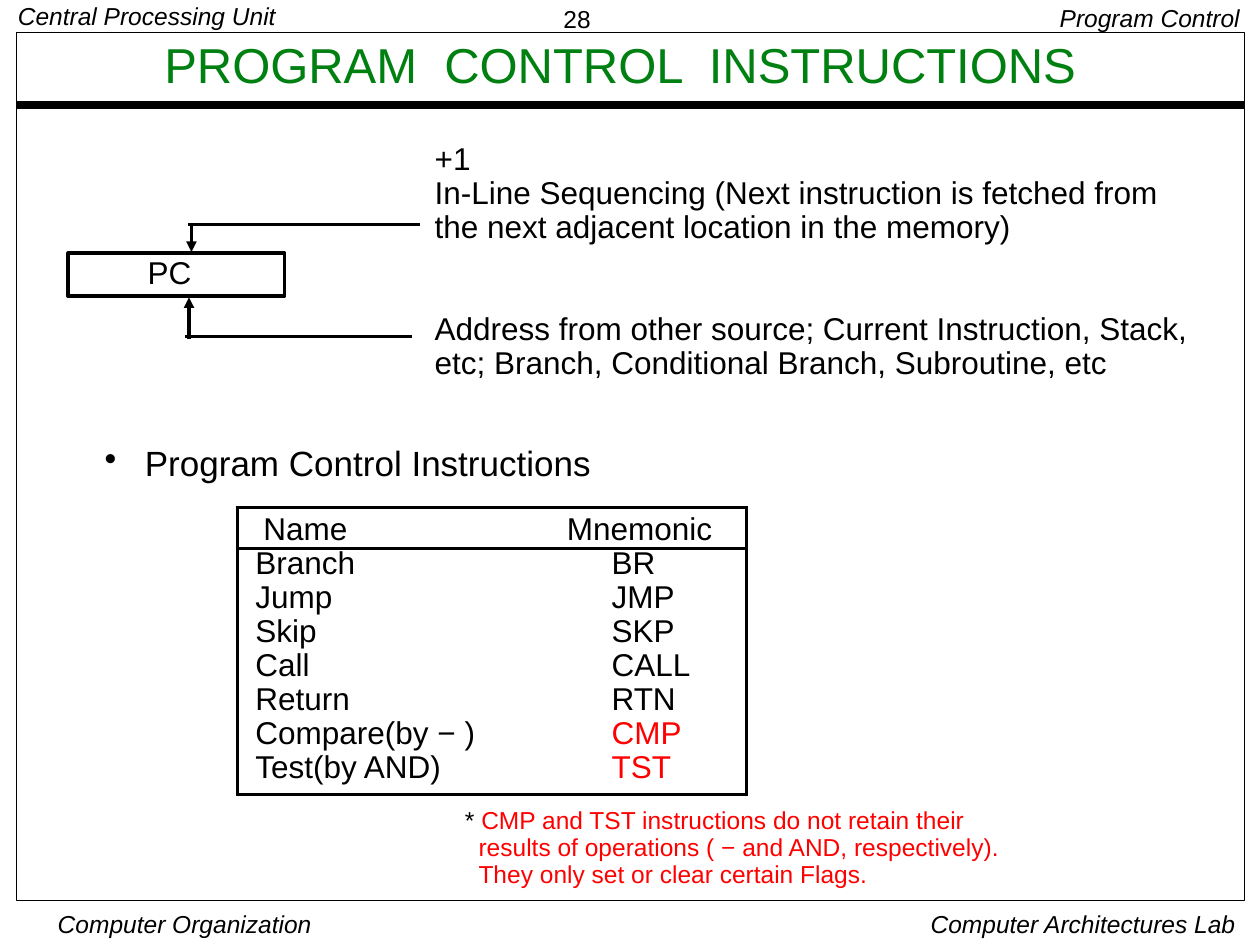
from lxml import etree
from pptx import Presentation
from pptx.dml.color import RGBColor
from pptx.enum.shapes import MSO_CONNECTOR, MSO_SHAPE
from pptx.enum.text import MSO_ANCHOR, PP_ALIGN
from pptx.oxml.ns import qn
from pptx.util import Pt

LEFT, CENTER, RIGHT = PP_ALIGN.LEFT, PP_ALIGN.CENTER, PP_ALIGN.RIGHT
TOP, MIDDLE = MSO_ANCHOR.TOP, MSO_ANCHOR.MIDDLE
STRAIGHT, RECTANGLE = MSO_CONNECTOR.STRAIGHT, MSO_SHAPE.RECTANGLE
BLACK, RED, GREEN = "000000", "FF0000", "008011"
color = RGBColor.from_string

prs = Presentation()
prs.slide_width, prs.slide_height = Pt(720), Pt(540)
slide = prs.slides.add_slide(prs.slide_layouts[6])
shapes = slide.shapes


def write(frame, lines, size=18, hue=BLACK, italic=False, align=LEFT,
          anchor=TOP, spacing=0.9, insets=(0, 0, 0, 0), bullet=None):
    frame.word_wrap = True
    frame.vertical_anchor = anchor
    (frame.margin_left, frame.margin_top,
     frame.margin_right, frame.margin_bottom) = map(Pt, insets)
    for i, line in enumerate(lines):
        paragraph = frame.add_paragraph() if i else frame.paragraphs[0]
        paragraph.alignment = align
        paragraph.line_spacing = spacing
        if bullet:
            props = paragraph._p.get_or_add_pPr()
            props.set("marL", str(Pt(23)))
            props.set("indent", str(-Pt(23)))
            etree.SubElement(props, qn("a:buChar")).set("char", bullet)
        for text, run_hue in [(line, hue)] if isinstance(line, str) else line:
            run = paragraph.add_run()
            run.text = text
            run.font.name = "Arial"
            run.font.size = Pt(size)
            run.font.italic = italic
            run.font.color.rgb = color(run_hue)


def draw_line(x1, y1, x2, y2, width=2, arrow=False):
    line = shapes.add_connector(STRAIGHT, Pt(x1), Pt(y1), Pt(x2), Pt(y2))
    line.line.color.rgb = color(BLACK)
    line.line.width = Pt(width)
    if arrow:
        etree.SubElement(line.line._get_or_add_ln(), qn("a:tailEnd")).set("type", "triangle")
    etree.SubElement(line._element.spPr, qn("a:effectLst"))


boxes = []
for x, y, w, h, width in [(9.4, 18.7, 702, 496, 0.5), (38.9, 144.7, 123.8, 24.5, 2)]:
    box = shapes.add_shape(RECTANGLE, Pt(x), Pt(y), Pt(w), Pt(h))
    box.shadow.inherit = False
    box.fill.background()
    box.line.color.rgb = color(BLACK)
    box.line.width = Pt(width)
    boxes.append(box)
page_frame, counter = boxes
write(counter.text_frame, ["PC"], align=CENTER, anchor=MIDDLE, insets=(0, 0, 8, 0))

draw_line(9.4, 60, 710.6, 60, width=4.5)
draw_line(239.8, 128.2, 107.3, 128.2)
draw_line(109.4, 128.9, 109.4, 144, arrow=True)
draw_line(235.4, 192.2, 105.8, 192.2)
draw_line(108, 193.7, 108, 169.9, arrow=True)

label = dict(size=14, italic=True)
texts = [
    (322, 2, 40, 18, ["28"], dict(size=14, spacing=1)),
    (10.2, 2.2, 170, 18, ["Central Processing Unit"], label),
    (33, 519.2, 170, 18, ["Computer Organization"], dict(label, spacing=1)),
    (516, 519.2, 190, 18, ["Computer Architectures Lab"], dict(label, align=RIGHT, spacing=1)),
    (558, 3.6, 150.5, 18, ["Program Control"], dict(label, align=RIGHT)),
    (19.4, 16.6, 670, 44, ["PROGRAM  CONTROL  INSTRUCTIONS"],
     dict(size=28, hue=GREEN, align=CENTER, anchor=MIDDLE)),
    (248.4, 82, 440, 60,
     ["+1", "In-Line Sequencing (Next instruction is fetched from "
      "the next adjacent location in the memory)"], {}),
    (248.4, 179.2, 440, 40,
     ["Address from other source; Current Instruction, Stack, "
      "etc; Branch, Conditional Branch, Subroutine, etc"], {}),
    (59.8, 254.9, 368, 24, ["Program Control Instructions"], dict(size=20, bullet="•")),
    (265.7, 462.2, 393, 16,
     [[("* ", BLACK), ("CMP and TST instructions do not retain their", RED)]], dict(size=14)),
    (273.5, 477.4, 385, 32,
     ["results of operations ( − and AND, respectively).",
      "They only set or clear certain Flags."], dict(size=14, hue=RED)),
]
for x, y, w, h, lines, style in texts:
    write(shapes.add_textbox(Pt(x), Pt(y), Pt(w), Pt(h)).text_frame, lines, **style)

instructions = [
    ("Name", "Mnemonic"), ("Branch", "BR"), ("Jump", "JMP"), ("Skip", "SKP"),
    ("Call", "CALL"), ("Return", "RTN"), ("Compare(by − )", "CMP"), ("Test(by AND)", "TST"),
]
last = len(instructions) - 1
row_heights = [23] + [19.4] * (last - 1) + [23.6]
table = shapes.add_table(len(instructions), 2, Pt(135.5), Pt(290.2),
                         Pt(291), Pt(sum(row_heights))).table
table.first_row = table.horz_banding = False
table.columns[0].width, table.columns[1].width = Pt(164.5), Pt(126.5)

for r, entry in enumerate(instructions):
    table.rows[r].height = Pt(row_heights[r])
    for c, text in enumerate(entry):
        cell = table.cell(r, c)
        indent = (15, 24)[c] if r == 0 else (10.5, 49.5)[c]
        write(cell.text_frame, [text], hue=RED if text in ("CMP", "TST") else BLACK)
        cell.margin_left, cell.margin_top = Pt(indent), Pt(0 if r else 4)
        cell.margin_right = cell.margin_bottom = Pt(0)
        props = cell._tc.get_or_add_tcPr()
        edges = {"L": c == 0, "R": c == 1, "T": r in (0, 1), "B": r in (0, last)}
        for side, visible in edges.items():
            edge = etree.SubElement(props, qn("a:ln" + side))
            if visible:
                edge.set("w", str(Pt(2)))
                fill = etree.SubElement(edge, qn("a:solidFill"))
                etree.SubElement(fill, qn("a:srgbClr")).set("val", BLACK)
            else:
                etree.SubElement(edge, qn("a:noFill"))
        cell.fill.background()

prs.save("out.pptx")
